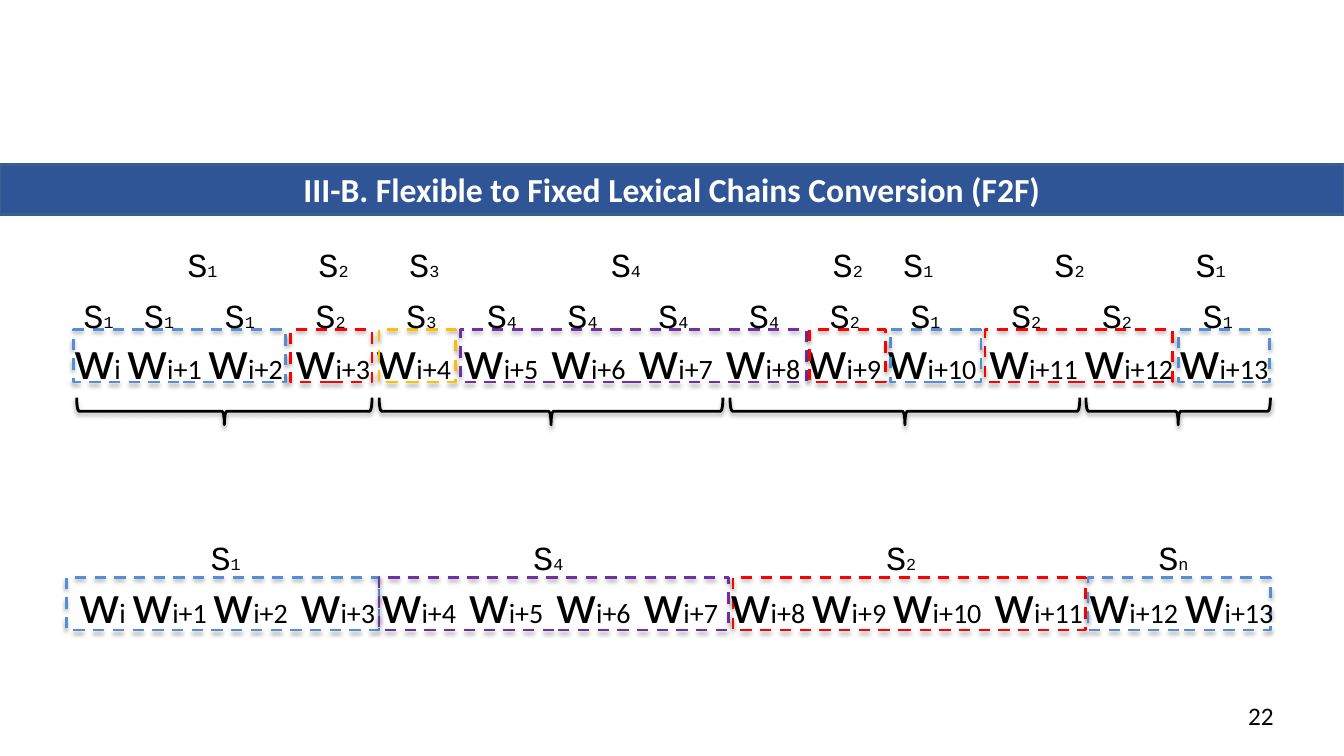
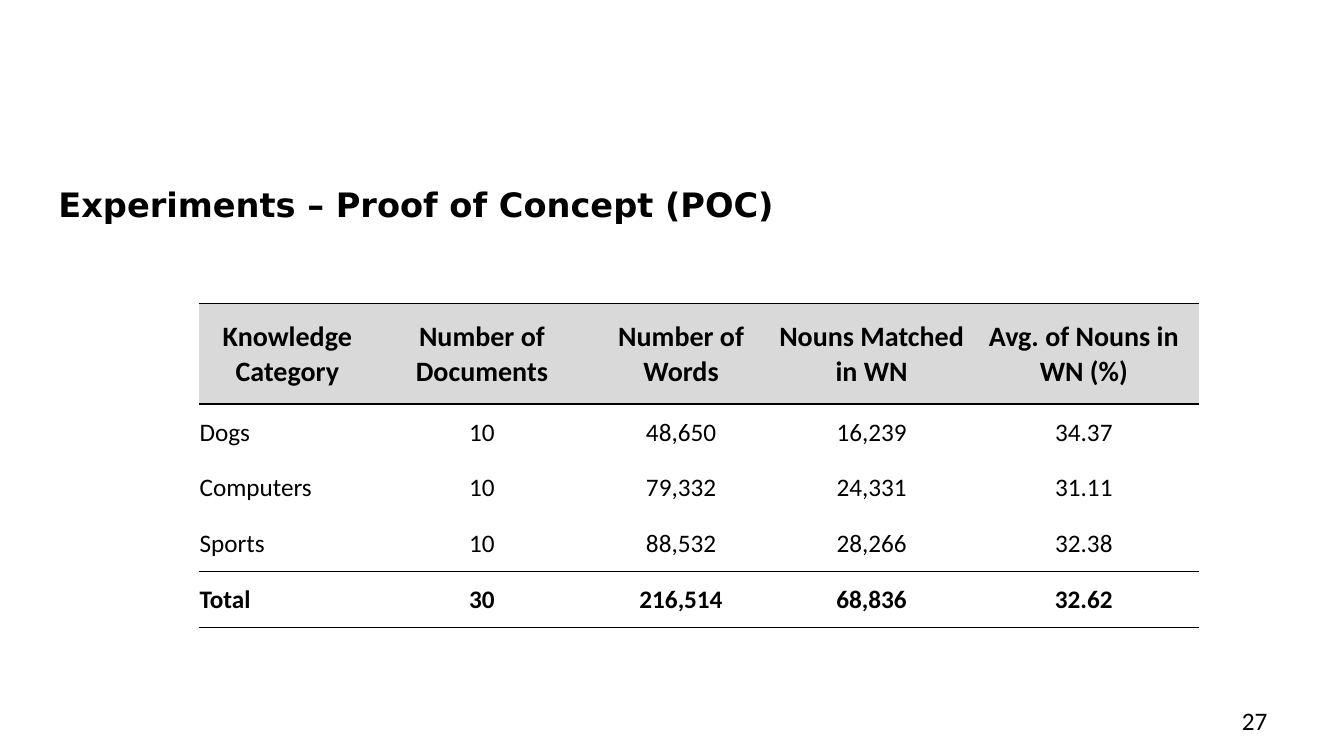
from lxml.etree import SubElement
from pptx import Presentation
from pptx.dml.color import RGBColor
from pptx.enum.dml import MSO_LINE
from pptx.enum.shapes import MSO_SHAPE
from pptx.enum.text import MSO_ANCHOR, PP_ALIGN
from pptx.oxml.ns import qn
from pptx.util import Inches, Pt

BLACK = RGBColor(0x00, 0x00, 0x00)
WHITE = RGBColor(0xFF, 0xFF, 0xFF)
BAND_BLUE = RGBColor(0x2F, 0x55, 0x97)
BAND_EDGE = RGBColor(0x3A, 0x5F, 0x8C)
BLUE = RGBColor(0x55, 0x8E, 0xD5)
RED = RGBColor(0xFF, 0x00, 0x00)
GOLD = RGBColor(0xFF, 0xC0, 0x00)
PURPLE = RGBColor(0x70, 0x30, 0xA0)
HEADER_GREY = RGBColor(0xD9, 0xD9, 0xD9)

BODY_FONT = "Calibri"
LABEL_FONT = "Courier New"
HEADING_FONT = "DejaVu Sans"

WORD_COUNT = 14
WIDE_GAP_BEFORE = {3, 5, 6, 7, 8, 11}

CHAIN_HEIGHT = 0.52
FLEXIBLE_TOP = 3.27
FLEXIBLE_CHAINS = [
    (0.73, 2.10, BLUE), (2.88, 0.81, RED), (3.76, 0.76, GOLD),
    (4.57, 3.43, PURPLE), (8.03, 0.75, RED), (9.77, 1.86, RED),
    (8.83, 0.90, BLUE), (11.69, 0.90, BLUE),
]
FIXED_TOP = 5.73
FIXED_CHAINS = [
    (0.66, 3.10, BLUE), (3.76, 3.47, PURPLE),
    (7.27, 3.50, RED), (10.79, 1.81, BLUE),
]
BRACE_SPANS = [(0.76, 3.69), (3.76, 7.17), (7.24, 10.71), (10.77, 12.60)]
BRACE_MIDDLE = 4.08
BRACE_DEPTH = 0.27

CHAIN_SENSES = [("1", 1.0), ("2", 2.3), ("3", 3.2), ("4", 5.2),
                ("2", 7.4), ("1", 8.1), ("2", 9.6), ("1", 11.0)]
WORD_SENSES = [("1", 0), ("1", 0.6), ("1", 1.4), ("2", 2.3), ("3", 3.2),
               ("4", 4.0), ("4", 4.8), ("4", 5.7), ("4", 6.6), ("2", 7.4),
               ("1", 8.2), ("2", 9.2), ("2", 10.1), ("1", 11.1)]
FIXED_SENSES = [("1", 1.0), ("4", 4.2), ("2", 7.7), ("n", 10.4)]

COLUMN_WIDTHS = [1.76, 2.10, 1.85, 1.93, 2.28]
ROW_HEIGHTS = [1.00, 0.55, 0.55, 0.56, 0.56]
RULES = {0: 1.25, 1: 1.25, 4: 0.75, 5: 0.75}
RESULTS = [
    ["Knowledge Category", "Number of Documents", "Number of Words",
     "Nouns Matched in WN", "Avg. of Nouns in WN (%)"],
    ["Dogs", "10", "48,650", "16,239", "34.37"],
    ["Computers", "10", "79,332", "24,331", "31.11"],
    ["Sports", "10", "88,532", "28,266", "32.38"],
    ["Total", "30", "216,514", "68,836", "32.62"],
]


def style_font(font, size, name=BODY_FONT, color=BLACK, bold=False):
    font.size = Pt(size)
    font.name = name
    font.color.rgb = color
    font.bold = bold


def add_textbox(slide, left, top, width, height):
    frame = slide.shapes.add_textbox(
        Inches(left), Inches(top), Inches(width), Inches(height)).text_frame
    frame.word_wrap = True
    return frame


def add_run(paragraph, text, size, font_name):
    run = paragraph.add_run()
    run.text = text
    style_font(run.font, size, font_name)


def add_page_number(slide, number, left, top, width):
    frame = add_textbox(slide, left, top, width, 0.4)
    frame.vertical_anchor = MSO_ANCHOR.MIDDLE
    frame.text = str(number)
    paragraph = frame.paragraphs[0]
    paragraph.alignment = PP_ALIGN.RIGHT
    style_font(paragraph.runs[0].font, 18)


def add_band_title(slide, title):
    band = slide.shapes.add_shape(
        MSO_SHAPE.RECTANGLE, 0, Inches(1.63), Inches(13.33), Inches(0.5))
    band.shadow.inherit = False
    band.fill.solid()
    band.fill.fore_color.rgb = BAND_BLUE
    band.line.color.rgb = BAND_EDGE
    band.line.width = Pt(2)
    band.text_frame.text = title
    paragraph = band.text_frame.paragraphs[0]
    paragraph.alignment = PP_ALIGN.CENTER
    style_font(paragraph.runs[0].font, 24, color=WHITE, bold=True)


def add_heading(slide, title):
    frame = add_textbox(slide, 0.48, 1.78, 12.85, 0.5)
    frame.text = title
    style_font(frame.paragraphs[0].runs[0].font, 24, HEADING_FONT, bold=True)


def add_outline(slide, preset, left, top, width, height, color):
    outline = slide.shapes.add_shape(
        preset, Inches(left), Inches(top), Inches(width), Inches(height))
    outline.fill.background()
    outline.line.color.rgb = color
    outline.line.width = Pt(2)
    outline.shadow.inherit = False
    effects = outline._element.spPr.find(qn("a:effectLst"))
    shadow = SubElement(effects, qn("a:outerShdw"), blurRad="40000",
                        dist="23000", dir="5400000", rotWithShape="0")
    shade = SubElement(shadow, qn("a:srgbClr"), val=str(BLACK))
    SubElement(shade, qn("a:alpha"), val="35000")
    return outline


def add_chains(slide, chains, top):
    for left, width, color in chains:
        chain = add_outline(slide, MSO_SHAPE.RECTANGLE, left, top, width,
                            CHAIN_HEIGHT, color)
        chain.line.dash_style = MSO_LINE.DASH


def add_brace(slide, start, end):
    span = end - start
    brace = add_outline(
        slide, MSO_SHAPE.RIGHT_BRACE, (start + end - BRACE_DEPTH) / 2,
        BRACE_MIDDLE - span / 2, BRACE_DEPTH, span, BLACK)
    brace.rotation = 90


def add_words(slide, left, top):
    paragraph = add_textbox(slide, left, top, 12.1, 0.77).paragraphs[0]
    for index in range(WORD_COUNT):
        letter = " w" if index in WIDE_GAP_BEFORE else "w"
        subscript = f"i+{index}" if index else "i"
        following = index + 1
        if following < WORD_COUNT and following not in WIDE_GAP_BEFORE:
            subscript += " "
        add_run(paragraph, letter, 40, BODY_FONT)
        add_run(paragraph, subscript, 20, BODY_FONT)


def add_senses(slide, senses, left, top):
    paragraph = add_textbox(slide, left, top, 12, 0.5).paragraphs[0]
    tabs = SubElement(paragraph._p.get_or_add_pPr(), qn("a:tabLst"))
    for subscript, offset in senses:
        if offset:
            SubElement(tabs, qn("a:tab"), pos=str(Inches(offset)), algn="l")
        add_run(paragraph, "\tS" if offset else "S", 24, LABEL_FONT)
        add_run(paragraph, subscript, 12, LABEL_FONT)


def set_borders(cell, top, bottom):
    properties = cell._tc.get_or_add_tcPr()
    edges = [("a:lnL", None), ("a:lnR", None), ("a:lnT", top), ("a:lnB", bottom)]
    for position, (tag, width) in enumerate(edges):
        edge = SubElement(properties, qn(tag), w=str(Pt(width or 0)))
        if width:
            fill = SubElement(edge, qn("a:solidFill"))
            SubElement(fill, qn("a:srgbClr"), val=str(BLACK))
        else:
            SubElement(edge, qn("a:noFill"))
        properties.insert(position, edge)


def fill_cell(cell, text, row, column):
    header = row == 0
    cell.text = text
    cell.vertical_anchor = MSO_ANCHOR.MIDDLE
    cell.margin_left = cell.margin_right = cell.margin_top = Inches(0.01)
    cell.margin_bottom = 0
    if header:
        cell.fill.solid()
        cell.fill.fore_color.rgb = HEADER_GREY
    else:
        cell.fill.background()
    paragraph = cell.text_frame.paragraphs[0]
    centred = header or column > 0
    paragraph.alignment = PP_ALIGN.CENTER if centred else PP_ALIGN.LEFT
    style_font(paragraph.runs[0].font, 20 if header else 18,
               bold=header or row == len(RESULTS) - 1)
    set_borders(cell, RULES.get(row), RULES.get(row + 1))


def add_results(slide):
    table = slide.shapes.add_table(
        len(RESULTS), len(COLUMN_WIDTHS), Inches(1.97), Inches(3.01),
        Inches(sum(COLUMN_WIDTHS)), Inches(sum(ROW_HEIGHTS))).table
    table.first_row = False
    table.horz_banding = False
    for column, width in zip(table.columns, COLUMN_WIDTHS):
        column.width = Inches(width)
    for row, height in zip(table.rows, ROW_HEIGHTS):
        row.height = Inches(height)
    for row, values in enumerate(RESULTS):
        for column, value in enumerate(values):
            fill_cell(table.cell(row, column), value, row, column)


def build_conversion(slide):
    add_band_title(slide, "III-B. Flexible to Fixed Lexical Chains Conversion (F2F)")
    add_words(slide, 0.64, 3.16)
    add_chains(slide, FLEXIBLE_CHAINS, FLEXIBLE_TOP)
    for start, end in BRACE_SPANS:
        add_brace(slide, start, end)
    add_senses(slide, CHAIN_SENSES, 0.76, 2.37)
    add_senses(slide, WORD_SENSES, 0.73, 2.88)
    add_senses(slide, FIXED_SENSES, 0.99, 5.28)
    add_chains(slide, FIXED_CHAINS, FIXED_TOP)
    add_words(slide, 0.69, 5.58)
    add_page_number(slide, 22, 10.4, 6.9, 2.33)


def build_experiments(slide):
    add_page_number(slide, 27, 9.56, 6.95, 3.11)
    add_heading(slide, "Experiments – Proof of Concept (POC)")
    add_results(slide)


def main():
    presentation = Presentation()
    presentation.slide_width = Inches(13.33)
    presentation.slide_height = Inches(7.5)
    blank = presentation.slide_layouts[6]
    for build in (build_conversion, build_experiments):
        build(presentation.slides.add_slide(blank))
    presentation.save("out.pptx")


if __name__ == "__main__":
    main()
